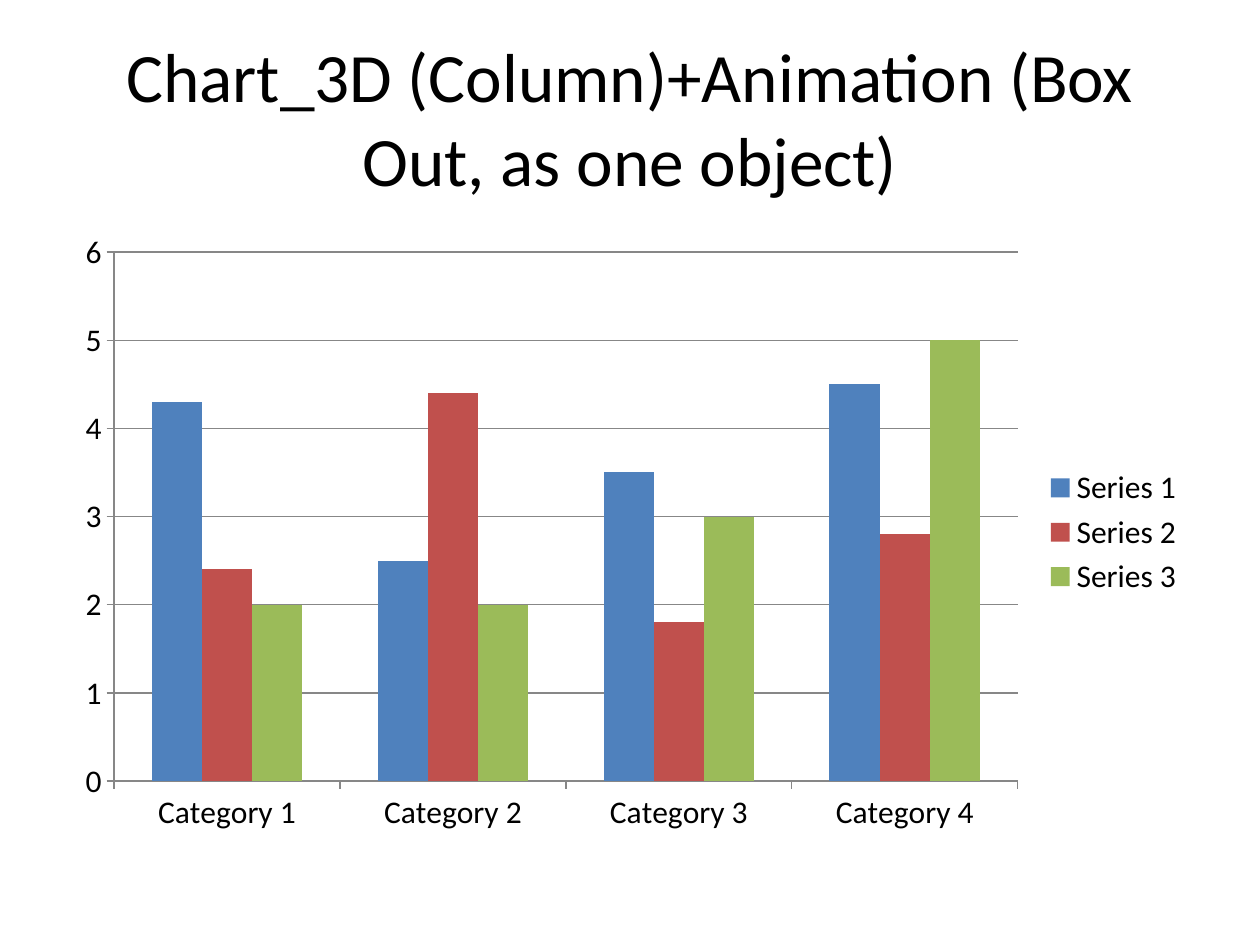
"""Build a slide with a title above a clustered column chart."""
from dataclasses import dataclass

from pptx import Presentation
from pptx.chart.data import CategoryChartData
from pptx.dml.color import RGBColor
from pptx.enum.chart import XL_CHART_TYPE, XL_LEGEND_POSITION, XL_TICK_MARK
from pptx.enum.text import MSO_ANCHOR, PP_ALIGN
from pptx.util import Inches, Pt

COLUMNS = XL_CHART_TYPE.COLUMN_CLUSTERED
RIGHT = XL_LEGEND_POSITION.RIGHT
OUTSIDE = XL_TICK_MARK.OUTSIDE
MIDDLE = MSO_ANCHOR.MIDDLE
CENTER = PP_ALIGN.CENTER

TITLE = "Chart_3D (Column)+Animation (Box Out, as one object)"
CATEGORIES = ["Category 1", "Category 2", "Category 3", "Category 4"]
SERIES = [
    ("Series 1", (4.3, 2.5, 3.5, 4.5)),
    ("Series 2", (2.4, 4.4, 1.8, 2.8)),
    ("Series 3", (2, 2, 3, 5)),
]

WIDTH, HEIGHT = Inches(10), Inches(7.5)
MARGIN = 0.05
TITLE_ROW = (0.04, 0.167)
CHART_ROW = (0.2333, 0.66)


@dataclass(frozen=True)
class Theme:
    font: str = "Calibri"
    text: str = "000000"
    line: str = "878787"
    series: tuple = ("4F81BD", "C0504D", "9BBB59")
    title_size: float = 39.6
    chart_size: float = 18
    line_width: float = 0.75


THEME = Theme()


def place(row):
    top, height = row
    return (int(WIDTH * MARGIN), int(HEIGHT * top),
            int(WIDTH * (1 - 2 * MARGIN)), int(HEIGHT * height))


def style_font(font, size):
    font.name = THEME.font
    font.size = Pt(size)
    font.color.rgb = RGBColor.from_string(THEME.text)


def style_line(line):
    line.color.rgb = RGBColor.from_string(THEME.line)
    line.width = Pt(THEME.line_width)


def add_title(s):
    tf = s.shapes.add_textbox(*place(TITLE_ROW)).text_frame
    tf.word_wrap = True
    tf.vertical_anchor = MIDDLE
    p = tf.paragraphs[0]
    p.text = TITLE
    p.alignment = CENTER
    style_font(p.font, THEME.title_size)


def add_columns(s):
    data = CategoryChartData()
    data.categories = CATEGORIES
    for name, values in SERIES:
        data.add_series(name, values)
    chart = s.shapes.add_chart(COLUMNS, *place(CHART_ROW), data).chart
    style_font(chart.font, THEME.chart_size)
    chart.has_title = False
    chart.has_legend = True
    chart.legend.position = RIGHT
    chart.legend.include_in_layout = False

    plot = chart.plots[0]
    plot.gap_width = 150
    plot.overlap = 0
    plot.vary_by_categories = False
    for series, color in zip(plot.series, THEME.series):
        series.format.fill.solid()
        series.format.fill.fore_color.rgb = RGBColor.from_string(color)

    for axis in (chart.category_axis, chart.value_axis):
        axis.major_tick_mark = OUTSIDE
        style_line(axis.format.line)
    axis = chart.value_axis
    axis.minimum_scale, axis.maximum_scale, axis.major_unit = 0, 6, 1
    axis.has_major_gridlines = True
    style_line(axis.major_gridlines.format.line)


def main():
    prs = Presentation()
    prs.slide_width, prs.slide_height = WIDTH, HEIGHT
    s = prs.slides.add_slide(prs.slide_layouts[6])
    add_title(s)
    add_columns(s)
    prs.save("out.pptx")


if __name__ == "__main__":
    main()
